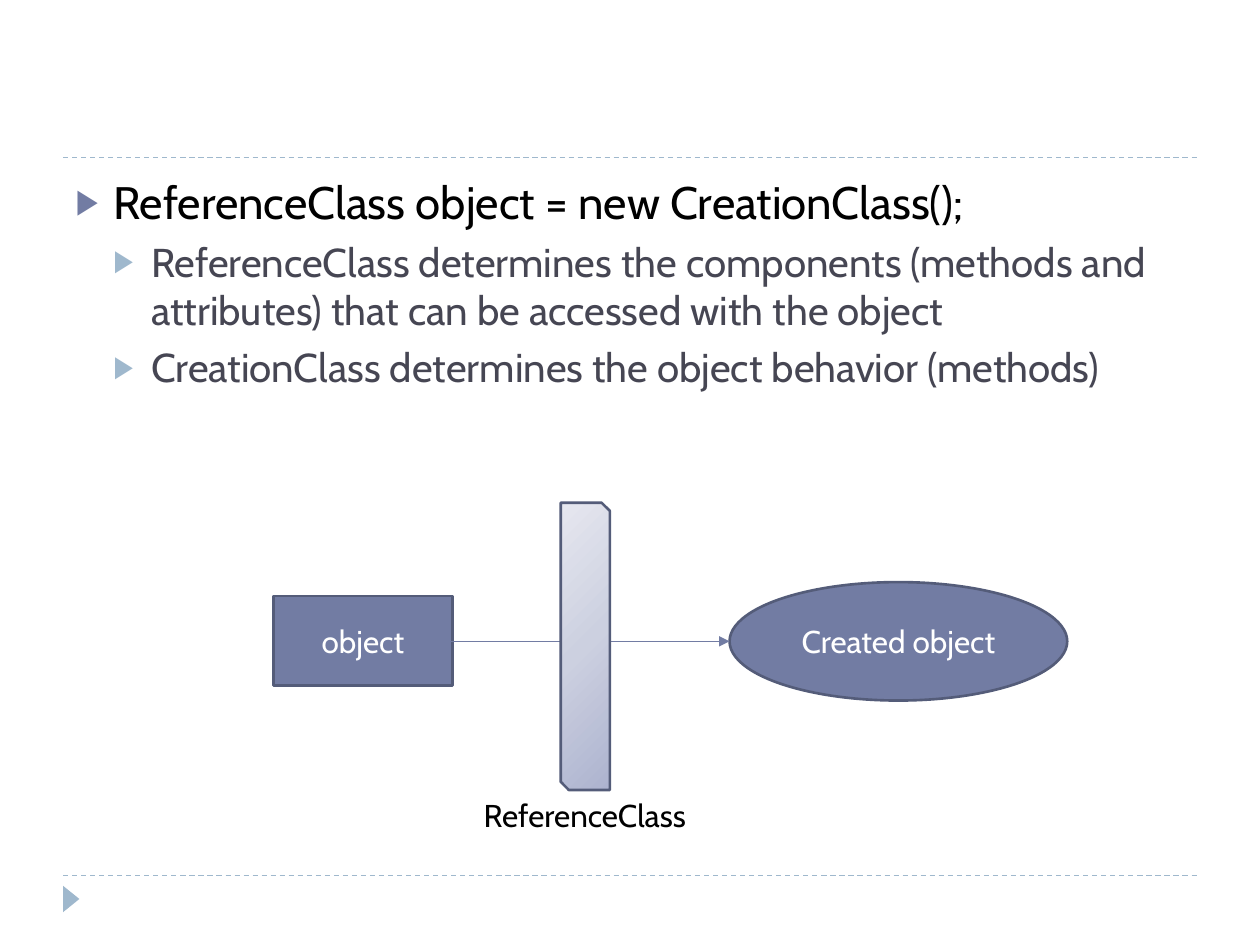
from lxml import etree
from pptx import Presentation
from pptx.dml.color import RGBColor
from pptx.enum.dml import MSO_LINE
from pptx.enum.shapes import MSO_CONNECTOR, MSO_SHAPE as SHAPE
from pptx.enum.text import MSO_ANCHOR, MSO_AUTO_SIZE, PP_ALIGN
from pptx.oxml import parse_xml
from pptx.oxml.ns import nsdecls, qn
from pptx.util import Inches, Pt

FONT = "Cabin"
COLORS = {"accent": "727CA3", "outline": "545C79", "pale": "9FB8CD",
          "black": "000000", "slate": "464653", "white": "FFFFFF"}
GRADIENT = [(0, "ADB3CF"), (50, "CCD0E0"), (100, "E6E7EF")]
LEVELS = [
    {"size": 26, "color": "black", "bullet": "accent", "before": 6},
    {"size": 23, "color": "slate", "bullet": "pale", "before": 5},
]
BULLETS = [
    (0, "ReferenceClass object = new CreationClass();"),
    (1, "ReferenceClass determines the components (methods and attributes) "
        "that can be accessed with the object"),
    (1, "CreationClass determines the object behavior (methods)"),
]
NODES = [
    (SHAPE.OVAL, "Created object", (5.79, 4.62, 2.68, 0.94)),
    (SHAPE.RECTANGLE, "object", (2.17, 4.73, 1.42, 0.71)),
]
RULE_HEIGHTS = [6.95, 1.25]
INDENT = 0.3


def rgb(name):
    return RGBColor.from_string(COLORS[name])


def add_text(paragraph, text, size, color):
    run = paragraph.add_run()
    run.text = text
    for key, value in {"name": FONT, "size": Pt(size)}.items():
        setattr(run.font, key, value)
    run.font.color.rgb = rgb(color)


def add_line(start, end, color):
    line = slide.shapes.add_connector(
        MSO_CONNECTOR.STRAIGHT, *map(Inches, start + end))
    line.line.color.rgb = rgb(color)
    line.line.width = Pt(0.75)
    etree.SubElement(line._element.spPr, qn("a:effectLst"))
    return line


def add_shape(kind, box, fill, outline=None):
    shape = slide.shapes.add_shape(kind, *map(Inches, box))
    shape.shadow.inherit = False
    shape.fill.solid()
    shape.fill.fore_color.rgb = rgb(fill)
    if outline:
        shape.line.color.rgb = rgb(outline)
        shape.line.width = Pt(1.5)
    else:
        shape.line.fill.background()
    return shape


def set_bullet(paragraph, level, color):
    properties = paragraph._p.get_or_add_pPr()
    properties.set("marL", str(Inches(INDENT * (level + 1))))
    properties.set("indent", str(-Inches(INDENT)))
    for tag, name, value in [("buClr", None, None), ("buSzPct", "val", "76000"),
                             ("buFont", "typeface", "Arial"), ("buChar", "char", "▶")]:
        element = etree.SubElement(properties, qn("a:" + tag))
        if name:
            element.set(name, value)
        else:
            etree.SubElement(element, qn("a:srgbClr")).set("val", COLORS[color])


presentation = Presentation()
presentation.slide_width, presentation.slide_height = Inches(10), Inches(7.5)
slide = presentation.slides.add_slide(presentation.slide_layouts[1])
title = slide.shapes.title._element
title.getparent().remove(title)

for height in RULE_HEIGHTS:
    add_line((0.5, height), (9.5, height), "pale").line.dash_style = MSO_LINE.DASH
marker = add_shape(SHAPE.ISOSCELES_TRIANGLE, (0.46, 7.07, 0.21, 0.13), "pale")
marker.rotation = 90

body = slide.placeholders[1]
for key, value in zip(("left", "top", "width", "height"), (0.5, 1.33, 9, 2.65)):
    setattr(body, key, Inches(value))
frame = body.text_frame
frame.auto_size = MSO_AUTO_SIZE.NONE
for index, (level, text) in enumerate(BULLETS):
    style = LEVELS[level]
    paragraph = frame.add_paragraph() if index else frame.paragraphs[0]
    paragraph.level = level
    paragraph.space_before = Pt(style["before"])
    set_bullet(paragraph, level, style["bullet"])
    add_text(paragraph, text, style["size"], style["color"])

for kind, text, box in NODES:
    node = add_shape(kind, box, "accent", "outline")
    node.text_frame.vertical_anchor = MSO_ANCHOR.MIDDLE
    paragraph = node.text_frame.paragraphs[0]
    paragraph.alignment = PP_ALIGN.CENTER
    add_text(paragraph, text, 18, "white")

arrow = add_line((3.58, 5.09), (5.79, 5.09), "accent")
etree.SubElement(arrow.line._get_or_add_ln(), qn("a:tailEnd")).set("type", "triangle")

gate = add_shape(SHAPE.SNIP_2_DIAG_RECTANGLE, (4.45, 3.99, 0.39, 2.28), "accent", "outline")
stops = "".join(f'<a:gs pos="{position * 1000}"><a:srgbClr val="{color}"/></a:gs>'
                for position, color in GRADIENT)
solid = gate._element.spPr.find(qn("a:solidFill"))
solid.getparent().replace(solid, parse_xml(
    f'<a:gradFill {nsdecls("a")} rotWithShape="1"><a:gsLst>{stops}</a:gsLst>'
    '<a:path path="circle"><a:fillToRect l="100000" t="100000"/></a:path></a:gradFill>'))

label = slide.shapes.add_textbox(*map(Inches, (3.74, 6.27, 1.89, 0.4)))
label.text_frame.word_wrap = True
label.text_frame.auto_size = MSO_AUTO_SIZE.SHAPE_TO_FIT_TEXT
add_text(label.text_frame.paragraphs[0], "ReferenceClass", 18, "black")

presentation.save("out.pptx")
